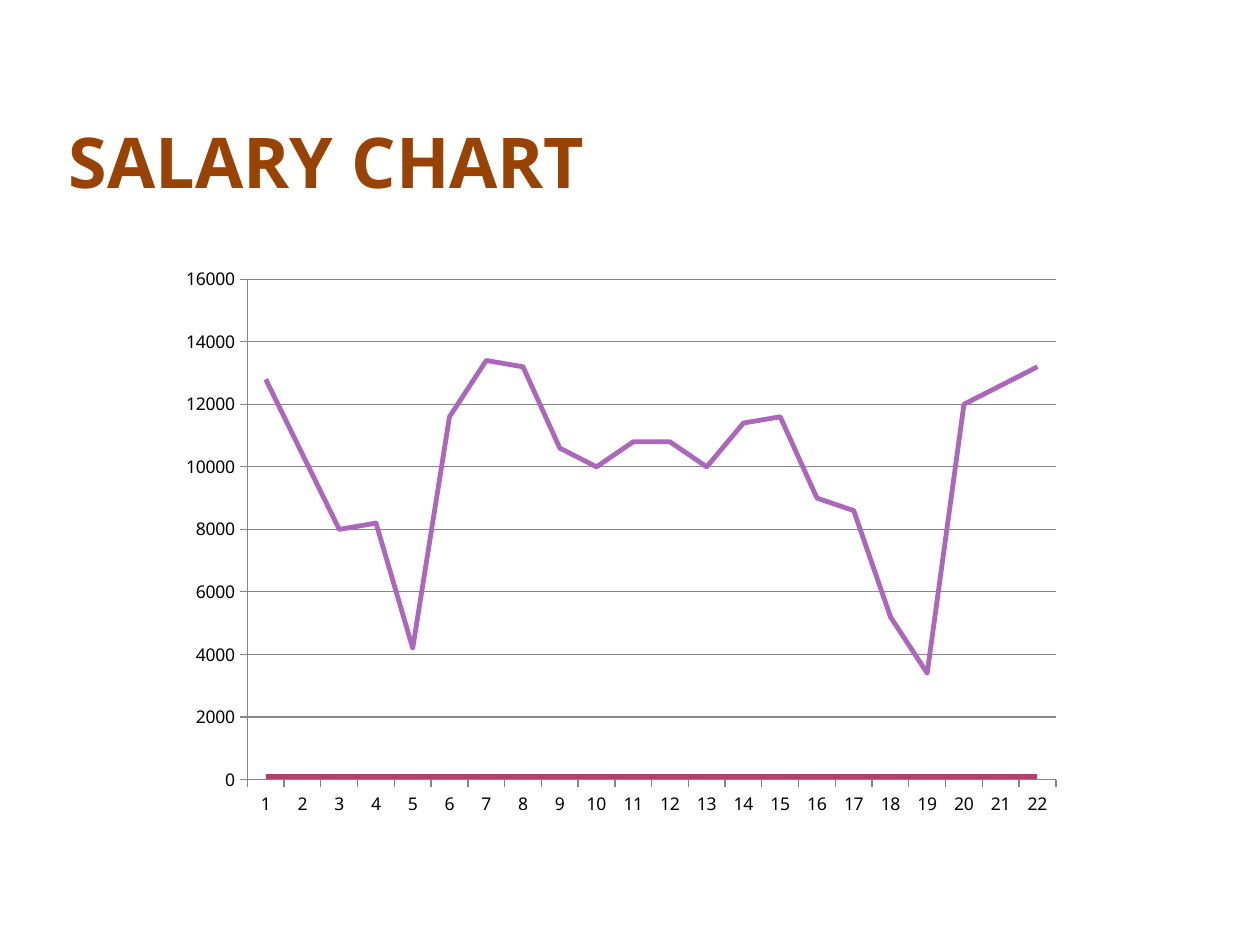
from pptx import Presentation
from pptx.chart.data import CategoryChartData
from pptx.dml.color import RGBColor
from pptx.enum.chart import XL_CHART_TYPE as ChartType, XL_TICK_MARK as Tick
from pptx.enum.text import MSO_ANCHOR as Anchor
from pptx.util import Pt

FONT = "Noto Sans"
PX = 914400 / 126


def box(*lengths):
    return [round(length * PX) for length in lengths]


def color(hex_value):
    return RGBColor.from_string(hex_value)


def add_text(slide, text, at, size, fill, bold=False, anchor=Anchor.TOP):
    frame = slide.shapes.add_textbox(*box(*at)).text_frame
    frame.word_wrap = True
    frame.vertical_anchor = anchor
    frame.margin_left, frame.margin_right = box(6, 6)
    frame.margin_top = frame.margin_bottom = 0
    run = frame.paragraphs[0].add_run()
    run.text = text
    run.font.name = FONT
    run.font.size = Pt(size)
    run.font.bold = bold
    run.font.color.rgb = color(fill)


deck = Presentation()
deck.slide_width, deck.slide_height = box(1260, 945)
slide = deck.slides.add_slide(deck.slide_layouts[6])

add_text(slide, "SALARY CHART", (63, 44, 998, 158), size=40, fill="984204",
         bold=True, anchor=Anchor.BOTTOM)

salaries = [12800, 10400, 8000, 8200, 4200, 11600, 13400, 13200, 10600, 10000, 10800,
            10800, 10000, 11400, 11600, 9000, 8600, 5200, 3400, 12000, 12600, 13200]
salary_data = CategoryChartData()
salary_data.categories = [str(number + 1) for number in range(len(salaries))]
salary_data.add_series("Series 1", [100] * len(salaries))
salary_data.add_series("Series 2", salaries)

salary_chart = slide.shapes.add_chart(ChartType.LINE, *box(168, 256, 906, 571), salary_data).chart
salary_chart.has_legend = False
salary_chart.has_title = False
salary_chart.font.name = FONT
salary_chart.font.size = Pt(10)
salary_chart.font.color.rgb = color("000000")

salary_plot = salary_chart.plots[0]
salary_plot.vary_by_categories = False
for series, stroke in zip(salary_plot.series, ("B83D68", "AC66BB")):
    series.smooth = False
    series.format.line.width = Pt(2.75)
    series.format.line.color.rgb = color(stroke)

number_axis, salary_axis = salary_chart.category_axis, salary_chart.value_axis
salary_axis.minimum_scale = 0
salary_axis.maximum_scale = 16000
salary_axis.major_unit = 2000
salary_axis.has_major_gridlines = True
for axis in (number_axis, salary_axis):
    axis.major_tick_mark = Tick.OUTSIDE
    axis.minor_tick_mark = Tick.NONE
for ruled in (number_axis, salary_axis, salary_axis.major_gridlines):
    ruled.format.line.width = Pt(0.75)
    ruled.format.line.color.rgb = color("868686")

deck.save("out.pptx")
